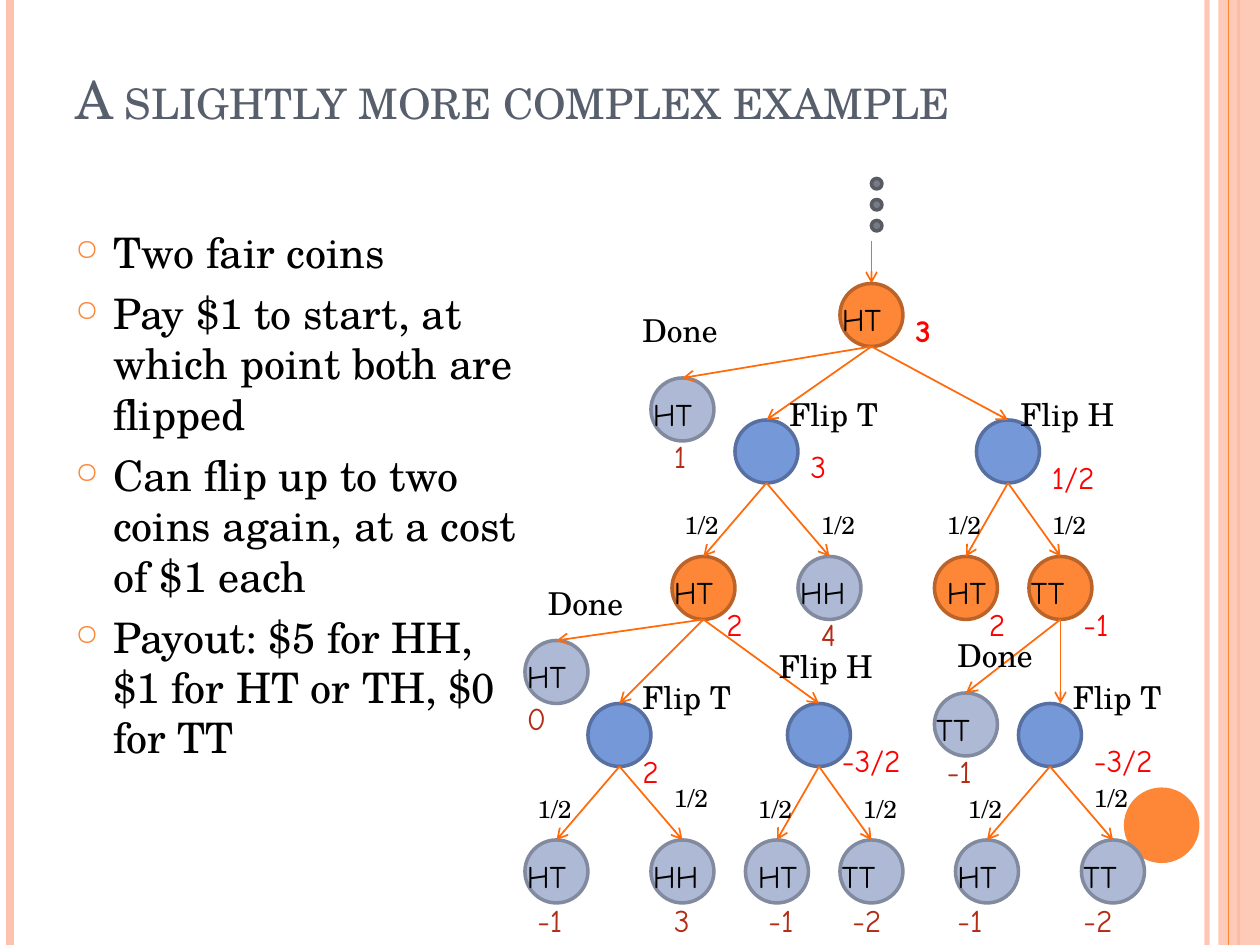
from dataclasses import dataclass

from lxml.etree import SubElement
from pptx import Presentation
from pptx.dml.color import RGBColor
from pptx.enum.shapes import MSO_CONNECTOR, MSO_SHAPE
from pptx.enum.text import MSO_ANCHOR
from pptx.oxml.ns import qn
from pptx.util import Inches, Pt


@dataclass(frozen=True)
class Theme:
    serif: str = "TeX Gyre Schola"
    hand: str = "Comic Neue"
    title_size: int = 30
    body_size: int = 24
    label_size: int = 18
    chance_size: int = 14
    text: str = "000000"
    title: str = "575F6D"
    accent: str = "FE8637"
    stripe: str = "FEC3AE"
    arrow: str = "FF6B0A"
    value: str = "FF0000"
    final_value: str = "B32C16"
    # Fill and outline of each kind of circle
    choice: tuple = ("FE8637", "BC6329")
    chance: tuple = ("7598D9", "5770A1")
    final: tuple = ("AEBAD5", "818A9E")
    dot: tuple = ("777C84", "585C62")


@dataclass
class Node:
    """Tree node; positions and offsets are in twelfths of an inch."""
    parent: str
    x: int
    y: int
    kind: str
    state: str
    action: str
    action_offset: tuple
    value: str
    value_offset: tuple
    state_shift: int = -1
    entry_shift: int = 0


NODE_SIZE = 6

NODES = {
    "root": Node("", 80, 27, "choice", "HT", "", (0, 0), "3", (6, 2)),
    "done": Node("root", 62, 36, "final", "HT", "Done", (-2, -7), "1", (1, 5)),
    "T": Node("root", 70, 40, "chance", "", "Flip T", (4, -3), "3", (6, 2)),
    "H": Node("root", 93, 40, "chance", "", "Flip H", (3, -3), "1/2", (6, 3)),
    "T-HT": Node("T", 64, 53, "choice", "HT", "1/2", (0, -5), "2", (4, 4)),
    "T-HH": Node("T", 76, 53, "final", "HH", "1/2", (1, -5), "4", (1, 5)),
    "H-HT": Node("H", 89, 53, "choice", "HT", "1/2", (0, -5), "2", (4, 4), state_shift=0),
    "H-TT": Node("H", 98, 53, "choice", "TT", "1/2", (1, -5), "-1", (4, 4)),
    "HT done": Node("T-HT", 50, 61, "final", "HT", "Done", (1, -6), "0", (-1, 5)),
    "HT T": Node("T-HT", 56, 67, "chance", "", "Flip T", (4, -3), "2", (4, 4)),
    "HT H": Node("T-HT", 75, 67, "chance", "", "Flip H", (-2, -6), "-3/2", (4, 3)),
    "TT done": Node("H-TT", 89, 66, "final", "TT", "Done", (1, -6), "-1", (0, 5)),
    "TT T": Node("H-TT", 97, 67, "chance", "", "Flip T", (4, -3), "-3/2", (6, 3),
                 entry_shift=1),
    "HT T-HT": Node("HT T", 50, 80, "final", "HT", "1/2", (0, -5), "-1", (0, 5.2)),
    "HT T-HH": Node("HT T", 62, 80, "final", "HH", "1/2", (1, -6), "3", (1, 5.2)),
    "HT H-HT": Node("HT H", 71, 80, "final", "HT", "1/2", (0, -5), "-1", (1, 5.2),
                    state_shift=0),
    "HT H-TT": Node("HT H", 80, 80, "final", "TT", "1/2", (1, -5), "-2", (0, 5.2)),
    "TT T-HT": Node("TT T", 91, 80, "final", "HT", "1/2", (0, -5), "-1", (-1, 5.2)),
    "TT T-TT": Node("TT T", 103, 80, "final", "TT", "1/2", (0, -6), "-2", (-1, 5.2)),
}

RULES = [
    "Two fair coins",
    "Pay $1 to start, at which point both are flipped",
    "Can flip up to two coins again, at a cost of $1 each",
    "Payout: $5 for HH, $1 for HT or TH, $0 for TT",
]


def grid(*units):
    return [unit / 12 for unit in units]


class SlideBuilder:
    def __init__(self, slide, theme):
        self.slide = slide
        self.theme = theme

    def set_alpha(self, fill, percent):
        color = fill._xPr.find(qn("a:solidFill"))[0]
        SubElement(color, qn("a:alpha")).set("val", str(percent * 1000))

    def shape(self, kind, box, fill, outline=None, alpha=None):
        shape = self.slide.shapes.add_shape(kind, *map(Inches, box))
        shape.shadow.inherit = False
        shape.fill.solid()
        shape.fill.fore_color.rgb = RGBColor.from_string(fill)
        if alpha:
            self.set_alpha(shape.fill, alpha)
        if outline:
            shape.line.color.rgb = RGBColor.from_string(outline)
            shape.line.width = Pt(2)
        else:
            shape.line.fill.background()

    def line(self, start, end, color, width, arrow=False, alpha=None):
        line = self.slide.shapes.add_connector(
            MSO_CONNECTOR.STRAIGHT, *map(Inches, (*start, *end)))
        line.line.color.rgb = RGBColor.from_string(color)
        line.line.width = Pt(width)
        if alpha:
            self.set_alpha(line.line.fill, alpha)
        if arrow:
            SubElement(line.line._get_or_add_ln(), qn("a:tailEnd")).set("type", "arrow")
        SubElement(line._element.spPr, qn("a:effectLst"))

    def text(self, box, paragraphs, size, font=None, color=None, bold=False,
             anchor=MSO_ANCHOR.TOP, bullets=False, small_caps=False):
        text_frame = self.slide.shapes.add_textbox(*map(Inches, box)).text_frame
        text_frame.word_wrap = True
        text_frame.vertical_anchor = anchor
        text_frame.text = "\n".join(paragraphs)
        for index, paragraph in enumerate(text_frame.paragraphs):
            if bullets:
                self.bullet(paragraph)
                paragraph.space_before = Pt(6 if index else 0)
            run = paragraph.runs[0]
            run.font.name = font or self.theme.serif
            run.font.size = Pt(size)
            run.font.bold = bold
            run.font.color.rgb = RGBColor.from_string(color or self.theme.text)
            if small_caps:
                run._r.get_or_add_rPr().set("cap", "small")

    def bullet(self, paragraph):
        properties = paragraph._p.get_or_add_pPr()
        properties.set("marL", str(Inches(0.3)))
        properties.set("indent", str(Inches(-0.3)))
        color = SubElement(properties, qn("a:buClr"))
        SubElement(color, qn("a:srgbClr")).set("val", self.theme.accent)
        SubElement(properties, qn("a:buSzPct")).set("val", "70000")
        SubElement(properties, qn("a:buChar")).set("char", "○")

    def edge(self, parent, child):
        half = NODE_SIZE / 2
        self.line(grid(parent.x + half, parent.y + NODE_SIZE),
                  grid(child.x + half + child.entry_shift, child.y),
                  self.theme.arrow, 1, arrow=True)

    def circle(self, x, y, size, colors):
        self.shape(MSO_SHAPE.OVAL, grid(x, y, size, size), *colors)

    def node_labels(self, node):
        theme = self.theme
        if node.state:
            self.text(grid(node.x + node.state_shift, node.y + 1, 8, 5),
                      [node.state], theme.label_size, theme.hand)
        if node.action:
            dx, dy = node.action_offset
            is_chance = node.action == "1/2"
            width, height = (8, 4) if is_chance else (13, 4.8)
            self.text(grid(node.x + dx, node.y + dy, width, height), [node.action],
                      theme.chance_size if is_chance else theme.label_size)
        dx, dy = node.value_offset
        color = theme.final_value if node.kind == "final" else theme.value
        self.text(grid(node.x + dx, node.y + dy, 11, 4.8), [node.value],
                  theme.label_size, theme.hand, color, bold=not node.parent)


def main():
    presentation = Presentation()
    presentation.slide_width, presentation.slide_height = Inches(10), Inches(7.5)
    slide = presentation.slides.add_slide(presentation.slide_layouts[6])
    theme = Theme()
    builder = SlideBuilder(slide, theme)

    # Border stripes and corner disc
    builder.line((9.58, 0), (9.58, 7.5), theme.stripe, 3, alpha=93)
    builder.line((0.08, 0), (0.08, 7.5), theme.stripe, 4.5)
    builder.line((9.83, 0), (9.83, 7.5), theme.accent, 1.5)
    builder.shape(MSO_SHAPE.RECTANGLE, (9.67, 0, 0.33, 7.5), theme.stripe, alpha=87)
    builder.line((9.75, 0), (9.75, 7.5), theme.accent, 0.75)
    builder.shape(MSO_SHAPE.OVAL, (8.92, 6.25, 0.6, 0.6), theme.accent)

    # Title and rules of the game
    builder.text((0.5, -0.17, 8.17, 1.25), ["A slightly more complex example"],
                 theme.title_size, color=theme.title, anchor=MSO_ANCHOR.BOTTOM,
                 small_caps=True)
    builder.text((0.5, 1.75, 3.75, 5.33), RULES, theme.body_size, bullets=True)

    # Ellipsis leading into the tree
    for y in (17, 19, 21):
        builder.circle(83, y, 1, theme.dot)
    builder.line(grid(83, 23), grid(83, 27), theme.arrow, 1, arrow=True)

    # Decision tree: circles, then arrows, then labels on top
    colors = {"choice": theme.choice, "chance": theme.chance, "final": theme.final}
    for node in NODES.values():
        builder.circle(node.x, node.y, NODE_SIZE, colors[node.kind])
    for node in NODES.values():
        if node.parent:
            builder.edge(NODES[node.parent], node)
    for node in NODES.values():
        builder.node_labels(node)

    presentation.save("out.pptx")


if __name__ == "__main__":
    main()
